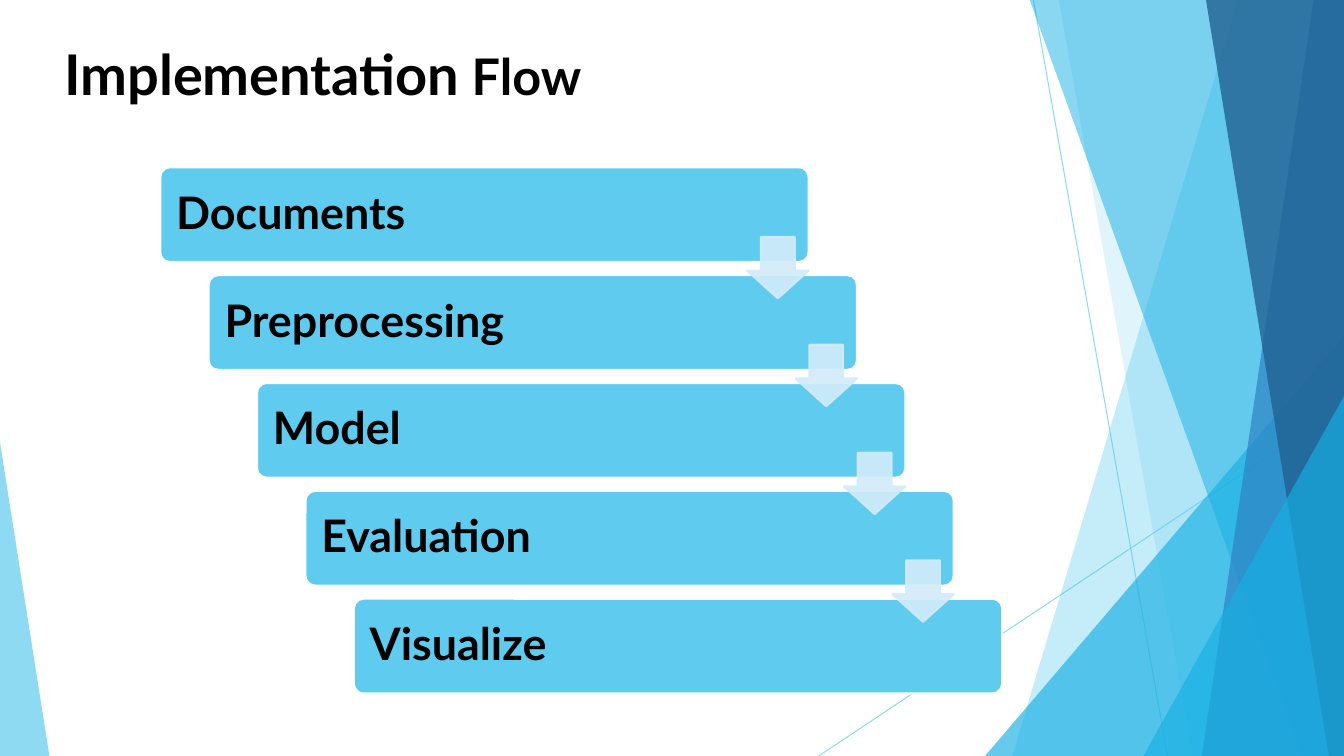
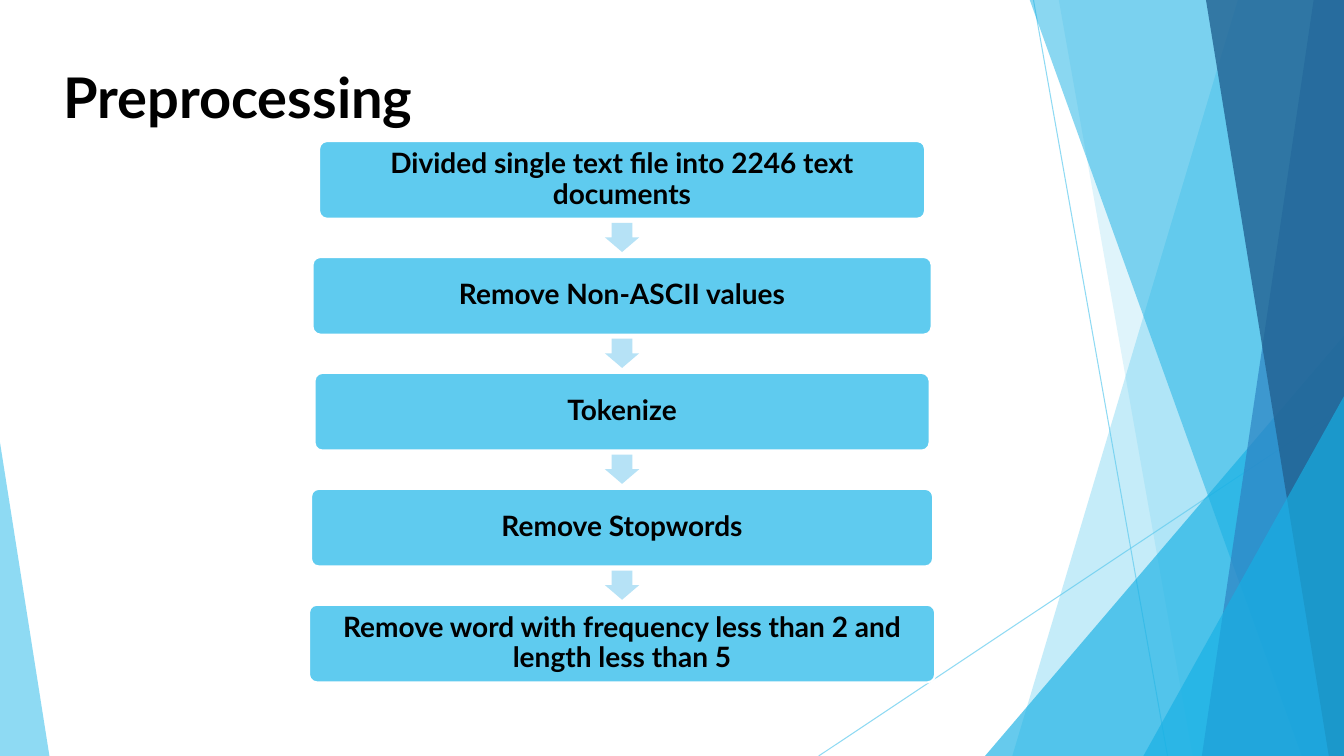
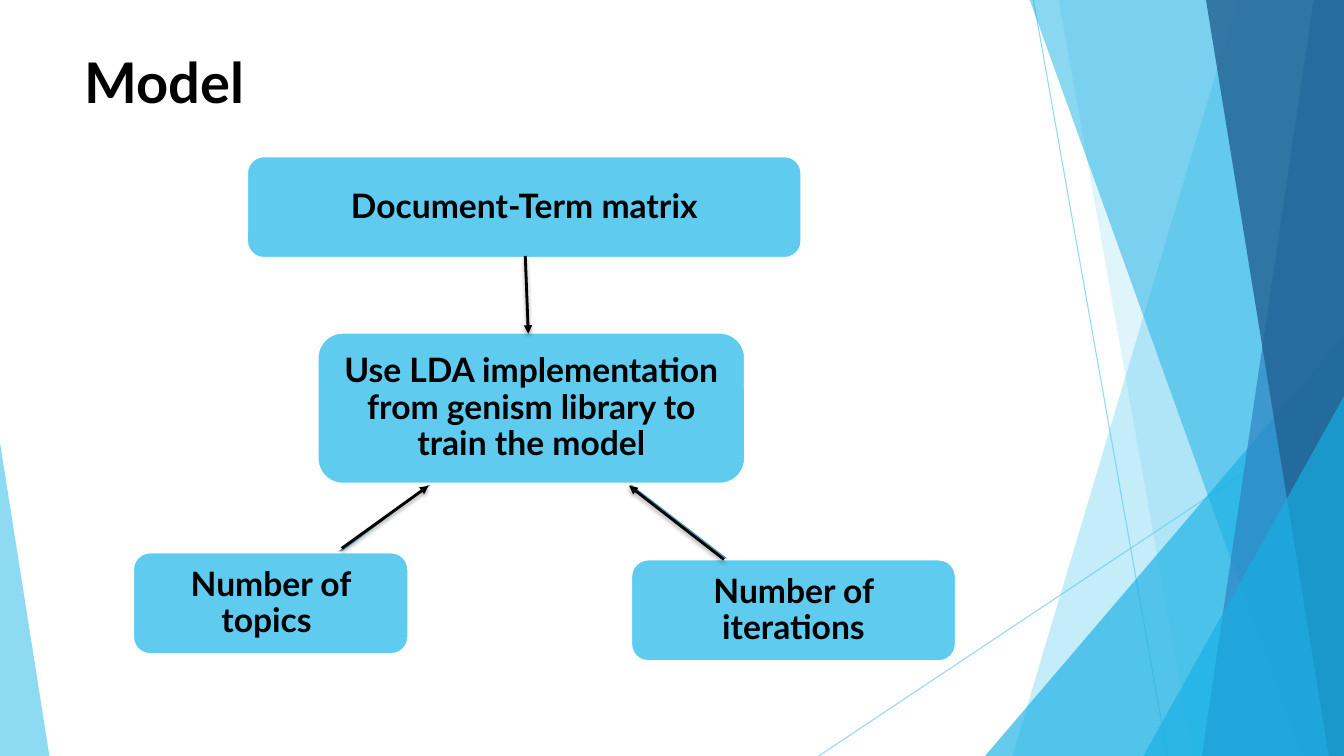
from dataclasses import dataclass
from typing import Any, Optional

from lxml.etree import SubElement
from pptx import Presentation
from pptx.dml.color import RGBColor
from pptx.enum.shapes import MSO_CONNECTOR as Connector, MSO_SHAPE as Preset
from pptx.enum.text import MSO_ANCHOR as Anchor, PP_ALIGN as Align
from pptx.oxml.ns import qn
from pptx.util import Inches, Pt

WIDTH, HEIGHT = 13.33, 7.5
SKY, CYAN, BLUE, NAVY = "5FCBEF", "17B0E4", "2E83C3", "226292"
PALE, LIGHT, TEAL = "D2ECF9", "B6E2F6", "4CA3BF"
BLACK, WHITE = "000000", "FFFFFF"
FONT = {"name": "Lato", "bold": True}


@dataclass(frozen=True)
class Band:
    top_x: float
    bottom_x: float
    color: str
    opacity: int


@dataclass(frozen=True)
class Triangle:
    left: float
    top: float
    width: float
    apex: float
    color: str
    opacity: int


@dataclass(frozen=True)
class Line:
    start: tuple[float, float]
    end: tuple[float, float]
    color: str
    points: float
    opacity: int = 100
    arrow: bool = False


@dataclass(frozen=True)
class Box:
    text: str
    left: float
    top: float
    width: float
    height: float


@dataclass(frozen=True)
class BoxStyle:
    size: int
    inset: float
    align: Align = Align.CENTER
    corner: float = 0.1667


BACKGROUND_LINES = [
    Line((10.25, 0), (11.58, HEIGHT), SKY, 0.75, opacity=70),
    Line((WIDTH, 4.03), (8.12, HEIGHT), SKY, 0.75, opacity=70),
]
BACKGROUND_FACETS = [
    Band(12.28, 10.04, SKY, 36),
    Band(10.5, 11.83, SKY, 20),
    Triangle(9.77, 3.33, 3.56, 1, CYAN, 66),
    Band(10.21, 12.91, CYAN, 50),
    Band(13.03, 11.92, BLUE, 70),
    Band(11.96, 13.18, NAVY, 80),
    Triangle(11.34, 3.93, 1.99, 1, CYAN, 66),
    Triangle(0, 4.39, 0.49, 0, SKY, 70),
]


def rgb(color: str) -> RGBColor:
    return RGBColor.from_string(color)


def apply(target: Any, values: dict[str, Any]) -> None:
    for name, value in values.items():
        setattr(target, name, value)


def set_opacity(shape: Any, percent: int) -> None:
    if percent < 100:
        for color in shape.element.spPr.iter(qn("a:srgbClr")):
            SubElement(color, qn("a:alpha"), val=str(percent * 1000))


def paint(shape: Any, fill: str, line: Optional[str] = None, opacity: int = 100) -> None:
    shape.shadow.inherit = False
    shape.fill.solid()
    shape.fill.fore_color.rgb = rgb(fill)
    if line:
        shape.line.color.rgb = rgb(line)
        shape.line.width = Pt(1.5)
    else:
        shape.line.fill.background()
    set_opacity(shape, opacity)


def add_preset(slide: Any, preset: Preset, left: float, top: float, width: float,
               height: float, adjustments: list[float]) -> Any:
    shape = slide.shapes.add_shape(preset, Inches(left), Inches(top), Inches(width), Inches(height))
    for index, value in enumerate(adjustments):
        shape.adjustments[index] = value
    return shape


def add_line(slide: Any, line: Line) -> Any:
    points = [Inches(value) for value in (*line.start, *line.end)]
    connector = slide.shapes.add_connector(Connector.STRAIGHT, *points)
    connector.line.color.rgb = rgb(line.color)
    connector.line.width = Pt(line.points)
    set_opacity(connector, line.opacity)
    properties = connector.element.spPr
    effects = SubElement(properties, qn("a:effectLst"))
    if line.arrow:
        SubElement(properties.find(qn("a:ln")), qn("a:tailEnd"), type="triangle")
        shadow = SubElement(effects, qn("a:outerShdw"), blurRad=str(Pt(3)), dist=str(Pt(2)),
                            dir="5400000", rotWithShape="0")
        color = SubElement(shadow, qn("a:srgbClr"), val=BLACK)
        SubElement(color, qn("a:alpha"), val="35000")
    return connector


def add_facet(slide: Any, facet: Band | Triangle) -> Any:
    if isinstance(facet, Band):
        corners = [(WIDTH, -0.01), (WIDTH, HEIGHT), (facet.bottom_x, HEIGHT)]
        builder = slide.shapes.build_freeform(Inches(facet.top_x), Inches(-0.01))
        builder.add_line_segments([(Inches(x), Inches(y)) for x, y in corners], close=True)
        shape = builder.convert_to_shape()
    else:
        shape = add_preset(slide, Preset.ISOSCELES_TRIANGLE, facet.left, facet.top,
                           facet.width, HEIGHT - facet.top, [facet.apex])
    paint(shape, facet.color, opacity=facet.opacity)
    return shape


def move_background_to_layout(slide: Any, layout: Any) -> None:
    for placeholder in list(layout.placeholders):
        layout.shapes.element.remove(placeholder.element)
    shapes = [add_line(slide, line) for line in BACKGROUND_LINES]
    shapes += [add_facet(slide, facet) for facet in BACKGROUND_FACETS]
    for shape in shapes:
        layout.shapes.element.append(shape.element)


def add_run(paragraph: Any, text: str, size: int) -> None:
    run = paragraph.add_run()
    run.text = text
    apply(run.font, FONT | {"size": Pt(size)})
    run.font.color.rgb = rgb(BLACK)


def add_title(slide: Any, left: float, top: float, *runs: tuple[str, int]) -> None:
    box = slide.shapes.add_textbox(Inches(left), Inches(top), Inches(9.4), Inches(0.96))
    box.text_frame.word_wrap = True
    for text, size in runs:
        add_run(box.text_frame.paragraphs[0], text, size)


def add_box(slide: Any, box: Box, style: BoxStyle) -> None:
    shape = add_preset(slide, Preset.ROUNDED_RECTANGLE, box.left, box.top, box.width,
                       box.height, [style.corner])
    paint(shape, SKY, WHITE)
    sides = ("left", "top", "right", "bottom")
    margins = {f"margin_{side}": Inches(style.inset) for side in sides}
    apply(shape.text_frame, margins | {"word_wrap": True, "vertical_anchor": Anchor.MIDDLE})
    paragraph = shape.text_frame.paragraphs[0]
    apply(paragraph, {"alignment": style.align, "line_spacing": 0.9})
    add_run(paragraph, box.text, style.size)


def fill_flow_slide(slide: Any) -> None:
    add_title(slide, 0.54, 0.34, ("Implementation", 40), (" Flow", 36))
    steps = ["Documents", "Preprocessing", "Model", "Evaluation", "Visualize"]
    style = BoxStyle(32, 0.13, Align.LEFT, 0.1)
    corners = [(1.59 + 0.48 * index, 1.66 + 1.07 * index) for index in range(len(steps))]
    for text, (left, top) in zip(steps, corners):
        add_box(slide, Box(text, left, top, 6.43, 0.94), style)
    for left, top in corners[:-1]:
        arrow = add_preset(slide, Preset.DOWN_ARROW, left + 5.82, top + 0.69, 0.61, 0.61,
                           [0.55, 0.45])
        paint(arrow, PALE, PALE, opacity=90)


def fill_preprocessing_slide(slide: Any) -> None:
    add_title(slide, 0.53, 0.57, ("Preprocessing", 40))
    steps = [
        ("Divided single text file into 2246 text documents", 6.01),
        ("Remove Non-ASCII values", 6.14),
        ("Tokenize", 6.1),
        ("Remove Stopwords", 6.17),
        ("Remove word with frequency less than 2 and length less than 5", 6.21),
    ]
    style = BoxStyle(20, 0.08, corner=0.1)
    center, height, pitch = 6.17, 0.77, 1.15
    for index, (text, width) in enumerate(steps):
        top = 1.4 + pitch * index
        add_box(slide, Box(text, center - width / 2, top, width, height), style)
        if index < len(steps) - 1:
            arrow = add_preset(slide, Preset.DOWN_ARROW, center - 0.17, top + height + 0.04,
                               0.34, 0.29, [0.6, 0.5])
            paint(arrow, LIGHT)


def fill_model_slide(slide: Any) -> None:
    add_title(slide, 0.74, 0.42, ("Model", 40))
    links = [((5.21, 2.56), (5.24, 3.3)), ((7.21, 5.55), (6.25, 4.81)), ((3.36, 5.48), (4.26, 4.81))]
    arrows = [((7.18, 5.55), (6.24, 4.82)), ((3.39, 5.44), (4.25, 4.82)), ((5.21, 2.54), (5.24, 3.31))]
    boxes = [
        Box("Use LDA implementation from genism library to train the model", 3.15, 3.3, 4.24, 1.5),
        Box("Document-Term matrix", 2.45, 1.55, 5.5, 1.01),
        Box("Number of iterations", 6.26, 5.55, 3.22, 1.01),
        Box("Number of topics ", 1.32, 5.48, 2.73, 1.01),
    ]
    for start, end in links:
        add_line(slide, Line(start, end, TEAL, 1.5))
    for box in boxes:
        add_box(slide, box, BoxStyle(24, 0.07))
    for start, end in arrows:
        add_line(slide, Line(start, end, BLACK, 2, arrow=True))


def main() -> None:
    presentation = Presentation()
    apply(presentation, {"slide_width": Inches(WIDTH), "slide_height": Inches(HEIGHT)})
    layout = presentation.slide_layouts[6]
    fillers = [fill_flow_slide, fill_preprocessing_slide, fill_model_slide]
    slides = [presentation.slides.add_slide(layout) for _ in fillers]
    move_background_to_layout(slides[0], layout)
    for slide, fill_slide in zip(slides, fillers):
        fill_slide(slide)
    presentation.save("out.pptx")


if __name__ == "__main__":
    main()
